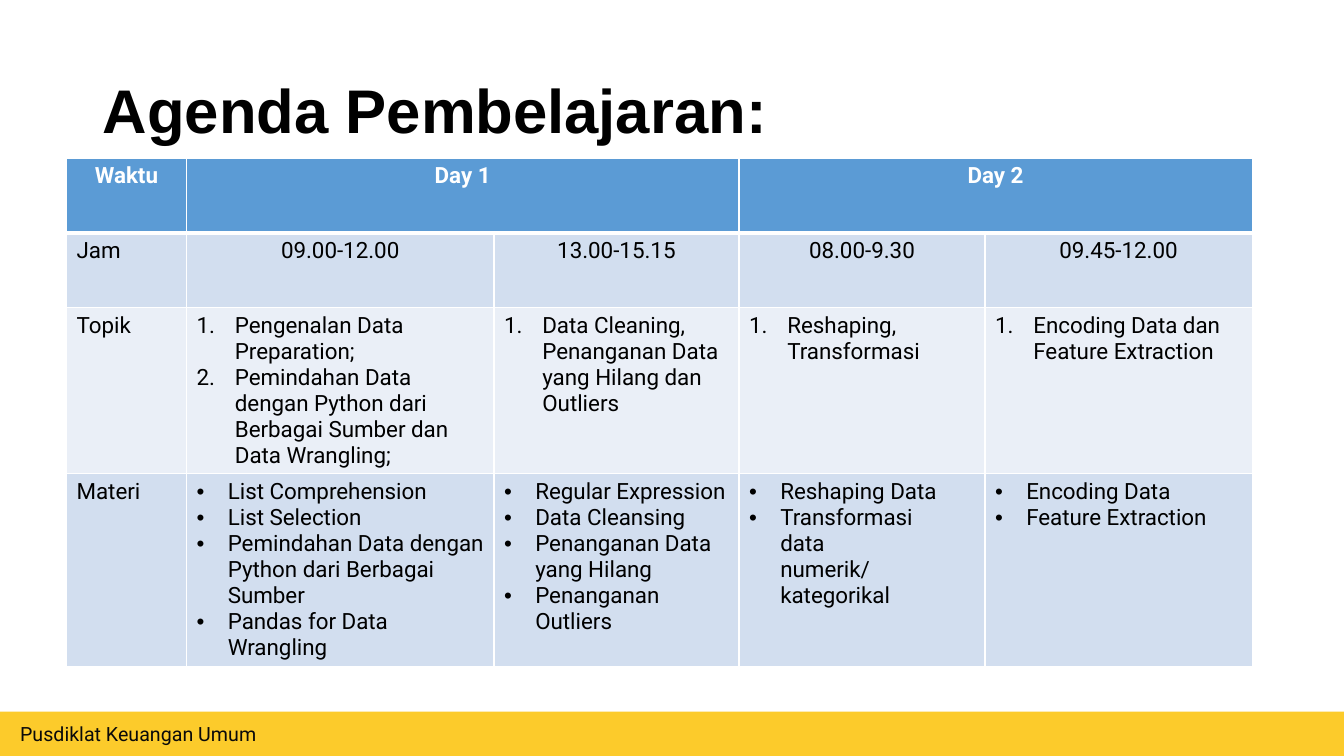
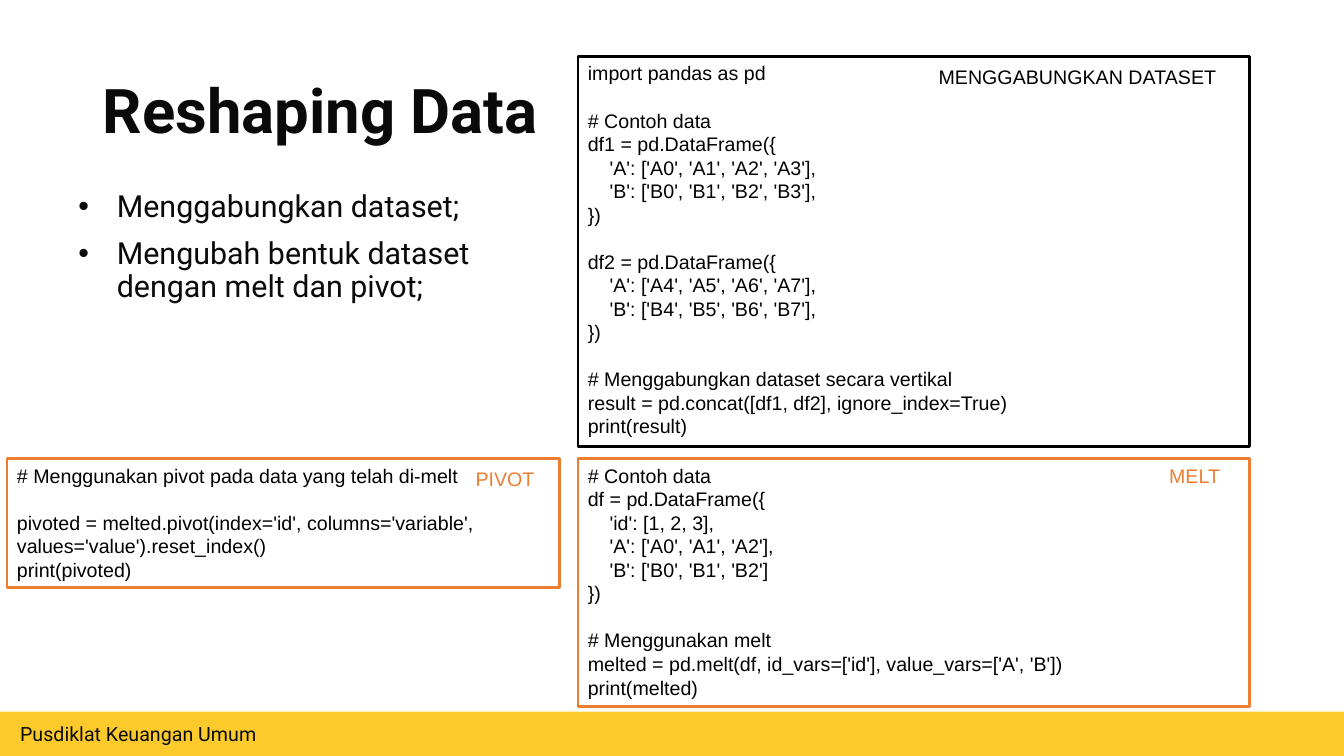
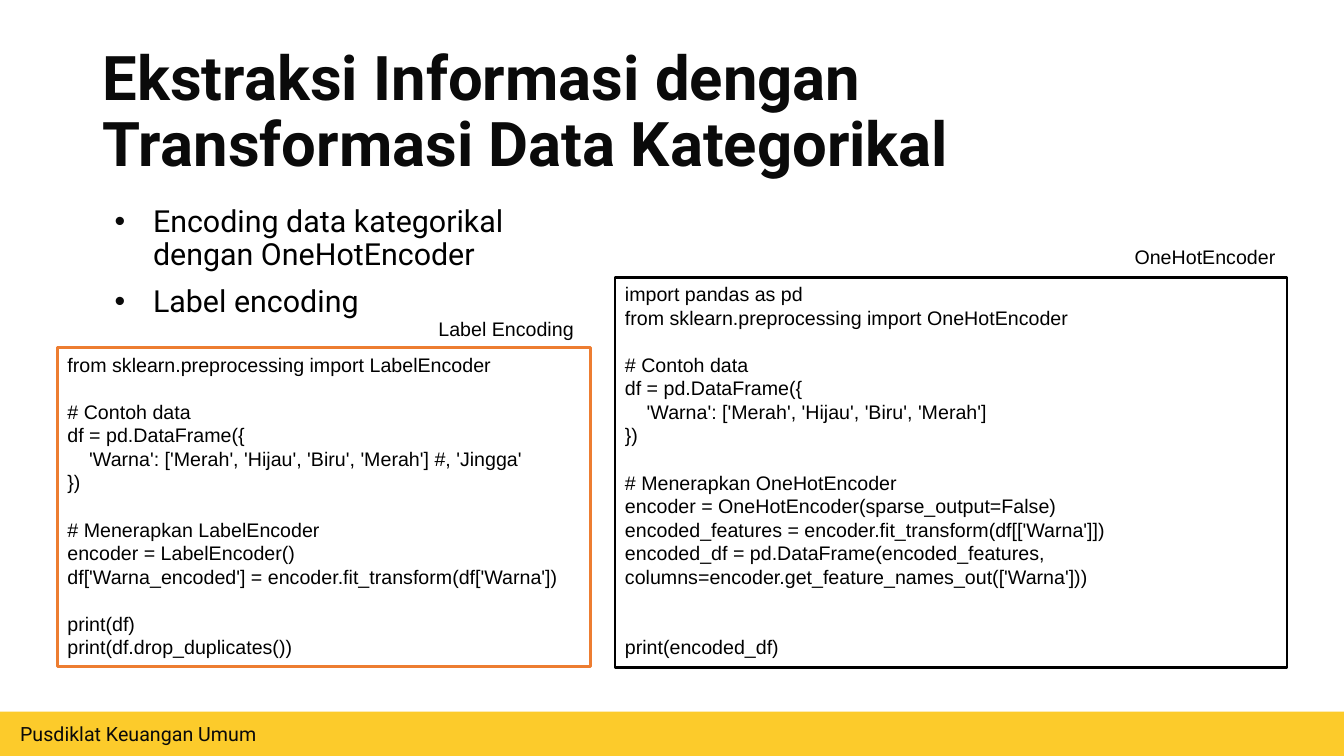
from lxml import etree
from pptx import Presentation
from pptx import util as u
from pptx.dml.color import RGBColor
from pptx.enum import shapes, text
from pptx.oxml import ns

WIDE, HIGH = 13.33, 7.5
HUE = dict(ink="0A0A0A", black="000000", white="FFFFFF", gold="FCCB2B",
           orange="ED7D31", head="5B9BD5", odd="D2DEEF", even="EAEFF7")
CODE = dict(name="Arial", size=u.Pt(14))
CELL = dict(name="Roboto", size=u.Pt(16))
LINE = 16.8  # height of one code line, points
TOP = text.MSO_ANCHOR.TOP
MID = text.MSO_ANCHOR.MIDDLE
GROW = text.MSO_AUTO_SIZE.SHAPE_TO_FIT_TEXT

# Boxes are left, top, width, height in percent of the slide
BAND = (0, 94.13, 100, 5.87)
TITLE = (6.9, 5.33, 86.25, 19.33)


def rgb(hue):
    return RGBColor.from_string(HUE[hue])


def place(box):
    return [u.Inches(v * side / 100) for v, side in zip(box, (WIDE, HIGH) * 2)]


def fit(frame, pad=(0.1, 0.05), **form):
    sides = dict(margin_left=pad[0], margin_right=pad[0],
                 margin_top=pad[1], margin_bottom=pad[1])
    form = {"word_wrap": True, "vertical_anchor": TOP, **form}
    for key, val in sides.items():
        setattr(frame, key, u.Inches(val))
    for key, val in form.items():
        setattr(frame, key, val)


def write(para, words, hue, font, **form):
    para.text = words
    for key, val in form.items():
        setattr(para, key, val)
    for run in para.runs:
        run.font.color.rgb = rgb(hue)
        for key, val in font.items():
            setattr(run.font, key, val)


def node(root, tag, **attrs):
    return etree.SubElement(root, ns.qn("a:" + tag), attrs)


def mark(para, left, hang, hue, number=False):
    """Bullet or number with a hanging indent."""
    props = para._p.get_or_add_pPr()
    props.set("marL", str(u.Inches(left)))
    props.set("indent", str(-u.Inches(hang)))
    node(node(props, "buClr"), "srgbClr", val=HUE[hue])
    if number:
        node(props, "buFont", typeface="+mj-lt")
        node(props, "buAutoNum", type="arabicPeriod")
    else:
        node(props, "buFont", typeface="Arial")
        node(props, "buChar", char="•")


def paras(frame, lines):
    """Pair each line with a paragraph of the frame."""
    for i, line in enumerate(lines):
        yield i, frame.add_paragraph() if i else frame.paragraphs[0], line


def panel(slide, box, fill, edge=None):
    shape = slide.shapes.add_shape(shapes.MSO_SHAPE.RECTANGLE, *place(box))
    shape.shadow.inherit = False
    shape.fill.solid()
    shape.fill.fore_color.rgb = rgb(fill)
    if edge:
        shape.line.color.rgb = rgb(edge)
        shape.line.width = u.Pt(2)
    else:
        shape.line.fill.background()
    return shape


def start(deck, title, font="Roboto", hue="ink"):
    """Slide with the shared footer band and title."""
    slide = deck.slides.add_slide(deck.slide_layouts[5])
    frame = panel(slide, BAND, "gold").text_frame
    fit(frame, (0.2, 0.1))
    write(frame.paragraphs[0], "Pusdiklat Keuangan Umum", hue="ink",
          font=dict(name="Roboto", size=u.Pt(14)), alignment=text.PP_ALIGN.LEFT)
    head = slide.shapes.title
    head.left, head.top, head.width, head.height = place(TITLE)
    fit(head.text_frame, vertical_anchor=MID, auto_size=text.MSO_AUTO_SIZE.NONE)
    write(head.text_frame.paragraphs[0], title, hue,
          dict(name=font, size=u.Pt(44), bold=True),
          alignment=text.PP_ALIGN.LEFT, line_spacing=0.9)
    return slide


def points(slide, box, items, hue):
    frame = slide.shapes.add_textbox(*place(box)).text_frame
    fit(frame)
    for i, para, item in paras(frame, items):
        mark(para, 0.5, 0.38, "ink")
        write(para, item, hue, dict(name="Roboto", size=u.Pt(21.7)),
              line_spacing=0.9, space_before=u.Pt(10 if i else 0))


def code(slide, box, edge, source):
    """Framed listing; an empty line becomes space before the next one."""
    frame = panel(slide, box, "white", edge).text_frame
    fit(frame, auto_size=GROW)
    rows, gap = [], 0
    for line in source.strip("\n").split("\n"):
        if line:
            rows.append((line, gap))
            gap = 0
        else:
            gap += 1
    for _, para, (line, gap) in paras(frame, rows):
        write(para, line, "black", CODE, alignment=text.PP_ALIGN.LEFT,
              space_before=u.Pt(gap * LINE))


def label(slide, box, words, wide, gap, drop, hue="black"):
    """Tag set in from the right edge of a box and down from its top."""
    left, top, span, _ = box
    spot = (left + span - gap - wide, top + drop, wide, 4.53)
    frame = slide.shapes.add_textbox(*place(spot)).text_frame
    fit(frame, word_wrap=False, auto_size=GROW)
    write(frame.paragraphs[0], words, hue, CODE)


def border(cell, low):
    props = cell._tc.get_or_add_tcPr()
    for side in "LRTB":
        wide = low if side == "B" else 1
        line = node(props, "ln" + side, w=str(u.Pt(wide)))
        node(node(line, "solidFill"), "srgbClr", val=HUE["white"])


def agenda(slide, box, cols, rows, data):
    grid = slide.shapes.add_table(len(rows), len(cols), *place(box)).table
    for parts, sizes, full in ((grid.columns, cols, WIDE * box[2] / 100),
                               (grid.rows, rows, HIGH * box[3] / 100)):
        for part, size in zip(parts, sizes):
            key = "width" if parts is grid.columns else "height"
            setattr(part, key, u.Inches(full * size / sum(sizes)))
    for r, line in enumerate(data):
        for c, items in enumerate(line):
            cell = grid.cell(r, c)
            border(cell, 1 if r else 3)
            cell.fill.solid()
            cell.fill.fore_color.rgb = rgb(("head", "odd", "even", "odd")[r])
            mid = r == 0 or (r == 1 and c > 0)
            for _, para, item in paras(cell.text_frame, items):
                if r > 1 and c:
                    hang = 0.38 if r == 2 else 0.31
                    mark(para, hang, hang, "black", number=r == 2)
                write(para, item, "black" if r else "white",
                      dict(CELL, bold=r == 0),
                      alignment=text.PP_ALIGN.CENTER if mid else text.PP_ALIGN.LEFT)
    for c in (1, 3):
        grid.cell(0, c).merge(grid.cell(0, c + 1))


PLAN = [
    [["Waktu"], ["Day 1"], [], ["Day 2"], []],
    [["Jam"], ["09.00-12.00"], ["13.00-15.15"], ["08.00-9.30"], ["09.45-12.00"]],
    [["Topik"],
     ["Pengenalan Data Preparation;",
      "Pemindahan Data dengan Python dari Berbagai Sumber dan Data Wrangling;"],
     ["Data Cleaning, Penanganan Data yang Hilang dan Outliers"],
     ["Reshaping, Transformasi"],
     ["Encoding Data dan Feature Extraction"]],
    [["Materi"],
     ["List Comprehension", "List Selection",
      "Pemindahan Data dengan Python dari Berbagai Sumber",
      "Pandas for Data Wrangling"],
     ["Regular Expression", "Data Cleansing", "Penanganan Data yang Hilang",
      "Penanganan Outliers"],
     ["Reshaping Data", "Transformasi\vdata\vnumerik/kategorikal"],
     ["Encoding Data", "Feature Extraction"]],
]

JOIN = """
import pandas as pd

# Contoh data
df1 = pd.DataFrame({
    'A': ['A0', 'A1', 'A2', 'A3'],
    'B': ['B0', 'B1', 'B2', 'B3'],
})

df2 = pd.DataFrame({
    'A': ['A4', 'A5', 'A6', 'A7'],
    'B': ['B4', 'B5', 'B6', 'B7'],
})

# Menggabungkan dataset secara vertikal
result = pd.concat([df1, df2], ignore_index=True)
print(result)
"""

MELT = """
# Contoh data
df = pd.DataFrame({
    'id': [1, 2, 3],
    'A': ['A0', 'A1', 'A2'],
    'B': ['B0', 'B1', 'B2']
})

# Menggunakan melt
melted = pd.melt(df, id_vars=['id'], value_vars=['A', 'B'])
print(melted)
"""

PIVOT = """
# Menggunakan pivot pada data yang telah di-melt

pivoted = melted.pivot(index='id', columns='variable', values='value').reset_index()
print(pivoted)
"""

HOT = """
import pandas as pd
from sklearn.preprocessing import OneHotEncoder

# Contoh data
df = pd.DataFrame({
    'Warna': ['Merah', 'Hijau', 'Biru', 'Merah']
})

# Menerapkan OneHotEncoder
encoder = OneHotEncoder(sparse_output=False)
encoded_features = encoder.fit_transform(df[['Warna']])
encoded_df = pd.DataFrame(encoded_features, columns=encoder.get_feature_names_out(['Warna']))


print(encoded_df)
"""

ENCODE = """
from sklearn.preprocessing import LabelEncoder

# Contoh data
df = pd.DataFrame({
    'Warna': ['Merah', 'Hijau', 'Biru', 'Merah'] #, 'Jingga'
})

# Menerapkan LabelEncoder
encoder = LabelEncoder()
df['Warna_encoded'] = encoder.fit_transform(df['Warna'])

print(df)
print(df.drop_duplicates())
"""


def main():
    deck = Presentation()
    deck.slide_width, deck.slide_height = u.Inches(WIDE), u.Inches(HIGH)

    # Agenda
    slide = start(deck, "Agenda Pembelajaran:", "Arial", "black")
    agenda(slide, (4.95, 20.93, 88.22, 67.2), (1.19, 3.05, 2.43, 2.44, 2.65),
           (0.74, 0.74, 1.65, 1.91), PLAN)

    # Reshaping
    slide = start(deck, "Reshaping Data")
    points(slide, (4.2, 24.67, 33.23, 19.33),
           ["Menggabungkan dataset;",
            "Mengubah bentuk dataset dengan melt dan pivot;"], "ink")
    join, melt, pivot = ((43, 7.47, 50, 51.6), (43, 60.67, 50, 32.8),
                         (0.53, 60.67, 41.1, 17.07))
    code(slide, join, "black", JOIN)
    code(slide, melt, "orange", MELT)
    code(slide, pivot, "orange", PIVOT)
    label(slide, join, "MENGGABUNGKAN DATASET", 22.6, 1.3, 0.4)
    label(slide, melt, "MELT", 5.4, 1.35, 0, "orange")
    label(slide, pivot, "PIVOT", 5.93, 1.05, 0.4, "orange")

    # Encoding
    slide = start(deck, "Ekstraksi Informasi dengan Transformasi Data Kategorikal")
    points(slide, (6.9, 26.67, 37.06, 19.33),
           ["Encoding data kategorikal dengan OneHotEncoder", "Label encoding"],
           "black")
    hot, encode = (45.76, 36.67, 50, 51.6), (4.28, 46, 39.68, 42.13)
    code(slide, hot, "black", HOT)
    code(slide, encode, "orange", ENCODE)
    label(slide, hot, "OneHotEncoder", 12.08, 0, -4.93)
    label(slide, encode, "Label Encoding", 11.63, 0.45, -4.8)

    deck.save("out.pptx")


if __name__ == "__main__":
    main()
